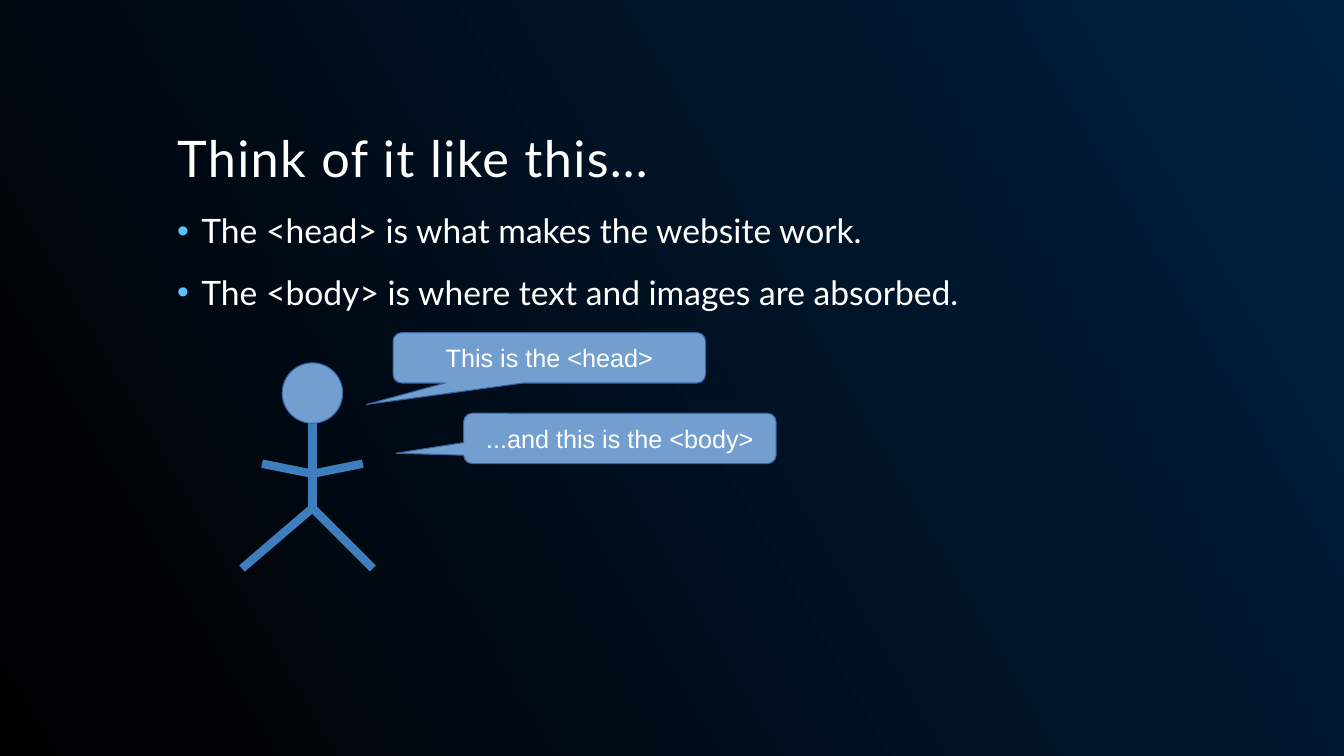
from dataclasses import dataclass

from lxml import etree
from pptx import Presentation
from pptx.dml.color import RGBColor
from pptx.enum import shapes, text
from pptx.oxml import ns
from pptx.util import Pt


@dataclass(frozen=True)
class Theme:
    sky: RGBColor = RGBColor(0x00, 0x20, 0x40)
    night: RGBColor = RGBColor(0x00, 0x00, 0x00)
    white: RGBColor = RGBColor(0xFF, 0xFF, 0xFF)
    bullet: str = "56C5FF"
    limb: RGBColor = RGBColor(0x3F, 0x7E, 0xBE)
    fill: RGBColor = RGBColor(0x72, 0x9F, 0xCF)
    outline: RGBColor = RGBColor(0x34, 0x65, 0xA4)
    main_font: str = "Lato"
    callout_font: str = "Arial"
    title_size: int = 36
    body_size: int = 24
    callout_size: int = 18


THEME = Theme()


def set_all(target, values):
    for name, value in values.items():
        setattr(target, name, value)


def points(*lengths):
    return [Pt(length) for length in lengths]


def write(paragraph, words, font, size):
    run = paragraph.add_run()
    run.text = words
    set_all(run.font, {"name": font, "size": Pt(size)})
    run.font.color.rgb = THEME.white
    return run


def paint_background(slide):
    fill = slide.background.fill
    fill.gradient()
    fill.gradient_angle = 210
    for stop, color in zip(fill.gradient_stops, (THEME.sky, THEME.night)):
        stop.color.rgb = color


def add_text_frame(slide, box, anchor):
    frame = slide.shapes.add_textbox(*points(*box)).text_frame
    set_all(frame, {"word_wrap": True, "vertical_anchor": anchor})
    return frame


def add_title(slide, words, box):
    paragraph = add_text_frame(slide, box, text.MSO_ANCHOR.BOTTOM).paragraphs[0]
    paragraph.line_spacing = 0.9
    run = write(paragraph, words, THEME.main_font, THEME.title_size)
    run.font._element.set("spc", "100")


def add_bullet(paragraph):
    properties = paragraph._p.get_or_add_pPr()
    properties.set("marL", str(Pt(17.3)))
    properties.set("indent", str(-Pt(17.3)))
    color = etree.SubElement(properties, ns.qn("a:buClr"))
    etree.SubElement(color, ns.qn("a:srgbClr"), val=THEME.bullet)
    etree.SubElement(properties, ns.qn("a:buFont"), typeface="Arial")
    etree.SubElement(properties, ns.qn("a:buChar"), char="•")


def add_bullet_list(slide, items, box):
    frame = add_text_frame(slide, box, text.MSO_ANCHOR.TOP)
    for index, words in enumerate(items):
        paragraph = frame.add_paragraph() if index else frame.paragraphs[0]
        add_bullet(paragraph)
        set_all(paragraph, {"line_spacing": 0.9, "space_before": Pt(18 if index else 0)})
        write(paragraph, words, THEME.main_font, THEME.body_size)


def add_limb(slide, start, end):
    limb = slide.shapes.add_connector(shapes.MSO_CONNECTOR.STRAIGHT, *points(*start, *end))
    limb.line.color.rgb = THEME.limb
    limb.line.width = Pt(6)
    etree.SubElement(limb._element.spPr, ns.qn("a:effectLst"))


def add_filled_shape(slide, kind, box):
    shape = slide.shapes.add_shape(kind, *points(*box))
    shape.shadow.inherit = False
    shape.fill.solid()
    shape.fill.fore_color.rgb = THEME.fill
    shape.line.color.rgb = THEME.outline
    shape.line.width = Pt(0)
    return shape


def add_stick_figure(slide, center, head_top):
    neck, elbow, hip = head_top + 36, head_top + 79.2, head_top + 103.7
    add_limb(slide, (center, hip), (center - 50.4, hip + 43.2))
    add_limb(slide, (center, neck), (center, neck + 72))
    add_limb(slide, (center, hip), (center + 43.2, hip + 43.2))
    for reach in (36, -36):
        add_limb(slide, (center, elbow), (center + reach, elbow - 7.2))
    add_filled_shape(slide, shapes.MSO_SHAPE.OVAL, (center - 21.6, head_top, 43.2, 43.2))


def add_callout(slide, words, left, top, pointer):
    """Add a speech bubble; pointer is the tip's offset as a share of its size."""
    callout = add_filled_shape(
        slide, shapes.MSO_SHAPE.ROUNDED_RECTANGULAR_CALLOUT, (left, top, 223.2, 36))
    for index, value in enumerate((*pointer, 0.17)):
        callout.adjustments[index] = value
    frame = callout.text_frame
    set_all(frame, {"word_wrap": False, "vertical_anchor": text.MSO_ANCHOR.MIDDLE})
    paragraph = frame.paragraphs[0]
    paragraph.alignment = text.PP_ALIGN.CENTER
    write(paragraph, words, THEME.callout_font, THEME.callout_size)


def main():
    presentation = Presentation()
    set_all(presentation, {"slide_width": Pt(960), "slide_height": Pt(540)})
    slide = presentation.slides.add_slide(presentation.slide_layouts[6])
    paint_background(slide)
    add_title(slide, "Think of it like this…", (119.5, 30.2, 720, 108))
    add_bullet_list(slide, (
        "The <head> is what makes the website work.",
        "The <body> is where text and images are absorbed.",
    ), (119.5, 149.8, 719.3, 324))
    add_stick_figure(slide, center=223.2, head_top=259.2)
    add_callout(slide, "This is the <head>", 280.8, 237.6, (-0.585, 0.926))
    add_callout(slide, "...and this is the <body>", 331.2, 295.2, (-0.717, 0.293))
    presentation.save("out.pptx")


if __name__ == "__main__":
    main()
